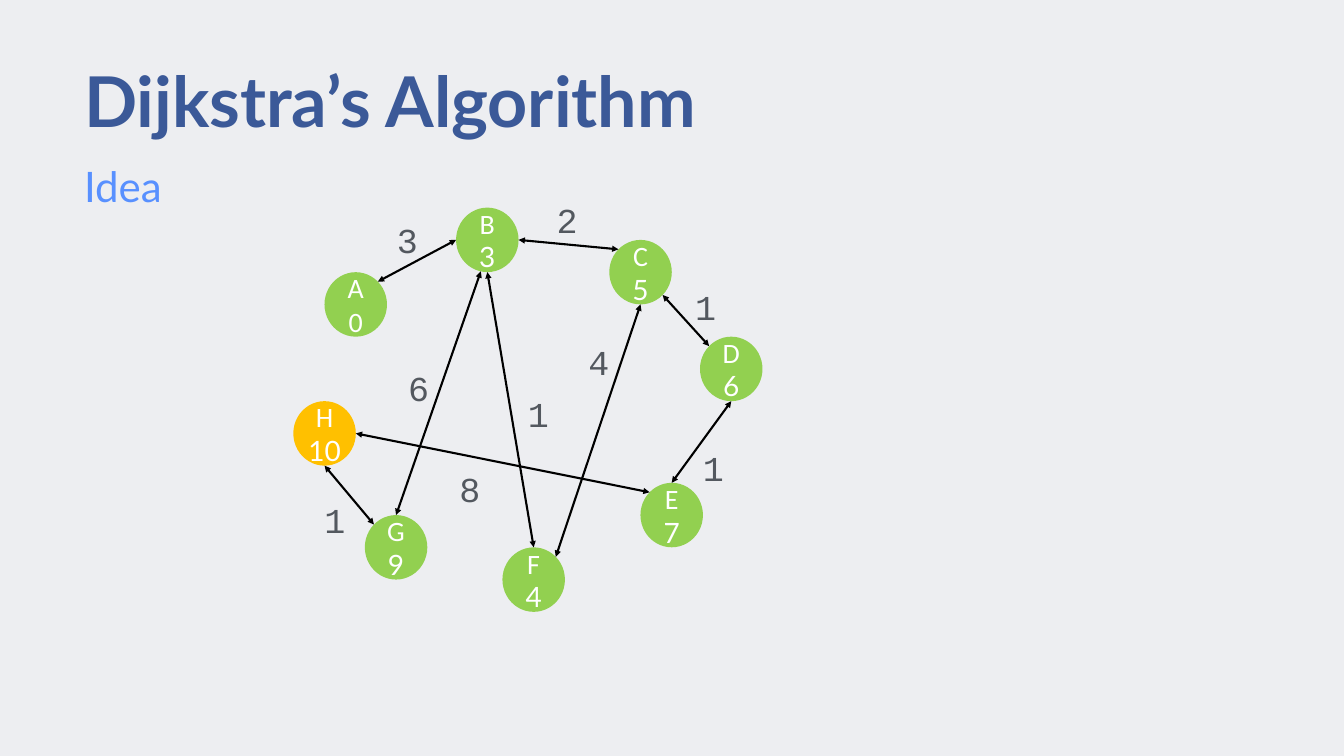
from math import cos, radians, sin

from lxml.etree import SubElement
from pptx import Presentation
from pptx.dml.color import RGBColor
from pptx.enum.shapes import MSO_CONNECTOR as Link, MSO_SHAPE as Form
from pptx.enum.text import MSO_ANCHOR as Anchor, MSO_AUTO_SIZE as Fit, PP_ALIGN as Align
from pptx.oxml.ns import qn
from pptx.util import Inches, Pt

NAVY = RGBColor(0x3B, 0x59, 0x98)
BLUE = RGBColor(0x58, 0x90, 0xFF)
PALE = RGBColor(0xED, 0xEE, 0xF1)
GREEN = RGBColor(0x92, 0xD0, 0x50)
AMBER = RGBColor(0xFF, 0xC0, 0x00)
WHITE = RGBColor(0xFF, 0xFF, 0xFF)
BLACK = RGBColor(0x00, 0x00, 0x00)
GRAY = RGBColor(0x53, 0x58, 0x5F)

# Places and sizes are percent of the slide's width and height.
NODE_W, NODE_H = 4.65, 8.53
TAG_W, TAG_H = 2.89, 6.2

# name: distance, centre x, centre y
NODES = {
    "A": ("0", 26.47, 40.27),
    "B": ("3", 36.26, 31.73),
    "C": ("5", 47.66, 36),
    "D": ("6", 54.41, 48.8),
    "E": ("7", 49.98, 68.13),
    "F": ("4", 39.71, 76.67),
    "G": ("9", 29.47, 72.4),
    "H": ("10", 24.15, 57.33),
}
# start, angle, end, angle (clockwise from the right), weight, label centre x, y
EDGES = [
    ("A", -45, "B", 180, "3", 30.31, 31.37),
    ("B", 0, "C", -135, "2", 42.2, 28.7),
    ("C", 45, "D", -135, "1", 52.51, 40.3),
    ("D", 90, "E", -90, "1", 53.07, 61.63),
    ("B", 102, "G", -90, "6", 31.14, 51.03),
    ("B", 90, "F", -90, "1", 40.06, 54.37),
    ("G", -135, "H", 90, "1", 24.92, 68.5),
    ("F", -45, "C", 90, "4", 44.56, 47.57),
    ("H", 0, "E", -135, "8", 34.96, 64.3),
]

deck = Presentation()
deck.slide_width, deck.slide_height = Inches(26.67), Inches(15)
COL, ROW = deck.slide_width / 100, deck.slide_height / 100
slide = deck.slides.add_slide(deck.slide_layouts[1])
slide.background.fill.solid()
slide.background.fill.fore_color.rgb = PALE
shapes = slide.shapes


def style(para, size, face, color, align, bold=False):
    para.alignment = align
    font = para.runs[0].font
    font.size, font.name, font.bold = Pt(size), face, bold
    font.color.rgb = color


def rim(name, angle):
    """Return the point on a node's outline at an angle."""
    _, x, y = NODES[name]
    turn = radians(angle)
    return (int((x + NODE_W / 2 * cos(turn)) * COL),
            int((y + NODE_H / 2 * sin(turn)) * ROW))


# Title and subtitle
heads = [
    (shapes.title, "Dijkstra’s Algorithm", 7.6, 13.4, 100, NAVY, True),
    (slide.placeholders[1], "Idea", 21.27, 8.13, 60, BLUE, False),
]
for box, text, top, high, size, color, bold in heads:
    box.left, box.top = int(6.25 * COL), int(top * ROW)
    box.width, box.height = int(87.5 * COL), int(high * ROW)
    frame = box.text_frame
    frame.text = text
    frame.auto_size, frame.vertical_anchor = Fit.NONE, Anchor.TOP
    frame.margin_left = frame.margin_right = frame.margin_top = frame.margin_bottom = 0
    para = frame.paragraphs[0]
    para.space_before = Pt(0)
    style(para, size, "Lato", color, Align.LEFT, bold)
    props = para._p.get_or_add_pPr()
    props.set("marL", "0")
    props.set("indent", "0")
    SubElement(props, qn("a:buNone"))

# Nodes
for name, (dist, x, y) in NODES.items():
    node = shapes.add_shape(
        Form.OVAL, int((x - NODE_W / 2) * COL), int((y - NODE_H / 2) * ROW),
        int(NODE_W * COL), int(NODE_H * ROW))
    node.shadow.inherit = False
    node.fill.solid()
    node.fill.fore_color.rgb = AMBER if name == "H" else GREEN
    node.line.fill.background()
    frame = node.text_frame
    frame.text = f"{name}\n{dist}"
    frame.vertical_anchor = Anchor.MIDDLE
    frame.margin_left = frame.margin_right = Inches(0.08)
    frame.margin_top = frame.margin_bottom = Inches(0.08)
    faces = ("Calibri", "Calibri" if name == "A" else "Lato")
    for para, face in zip(frame.paragraphs, faces):
        style(para, 40, face, WHITE, Align.CENTER)

# Edges and their weights
for start, out, end, into, cost, x, y in EDGES:
    edge = shapes.add_connector(Link.STRAIGHT, *rim(start, out), *rim(end, into))
    edge.line.color.rgb = BLACK
    edge.line.width = Pt(3)
    for tip in ("a:headEnd", "a:tailEnd"):
        SubElement(edge.line._get_or_add_ln(), qn(tip), type="triangle")
    SubElement(edge._element.spPr, qn("a:effectLst"))

    tag = shapes.add_textbox(
        int((x - TAG_W / 2) * COL), int((y - TAG_H / 2) * ROW),
        int(TAG_W * COL), int(TAG_H * ROW))
    frame = tag.text_frame
    frame.text = cost
    frame.word_wrap, frame.auto_size = True, Fit.SHAPE_TO_FIT_TEXT
    frame.vertical_anchor = Anchor.MIDDLE
    frame.margin_left = frame.margin_right = frame.margin_top = frame.margin_bottom = 0
    para = frame.paragraphs[0]
    para.line_spacing = 1.1
    style(para, 50, "Courier New", GRAY, Align.CENTER)

deck.save("out.pptx")
